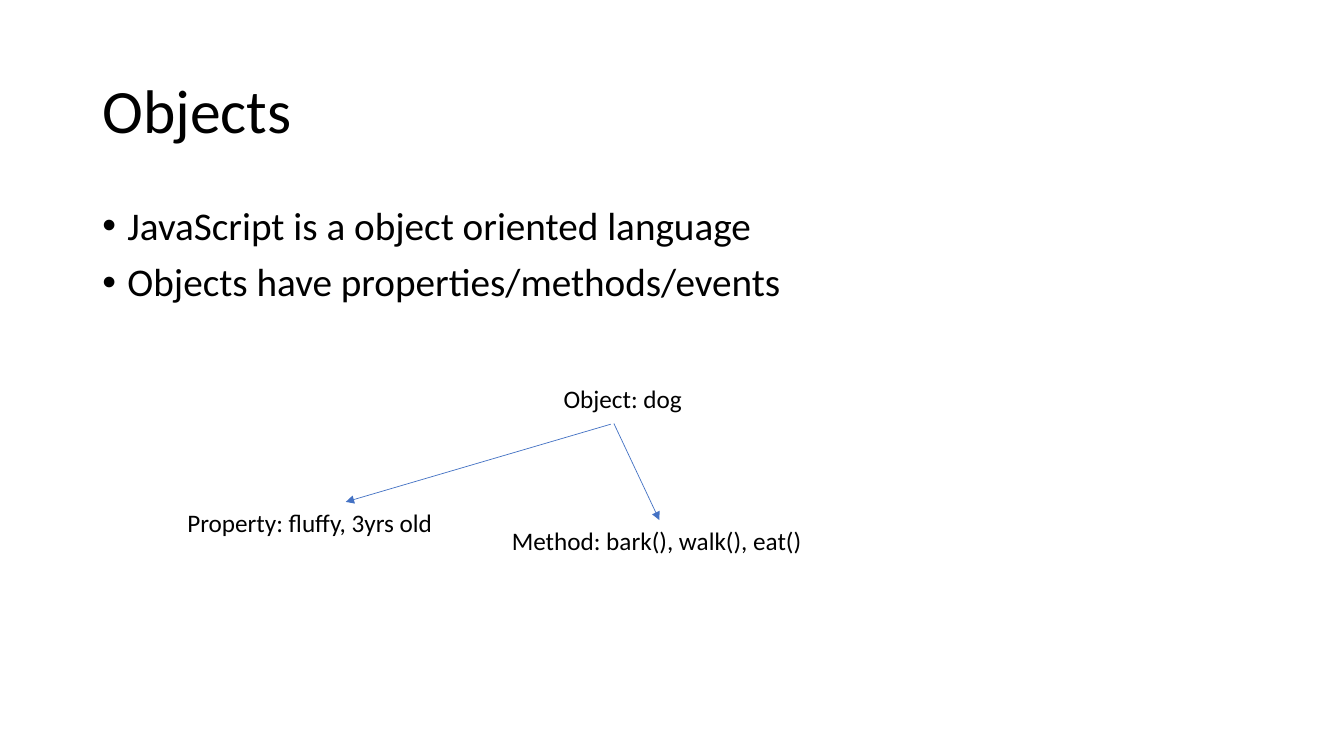
"""Build a slide on objects in JavaScript."""
import pptx
import pptx.util
import pptx.dml.color
import pptx.enum.shapes
import pptx.enum.text
import pptx.oxml
import pptx.oxml.ns

Pt = pptx.util.Pt
Anchor = pptx.enum.text.MSO_ANCHOR
COLORS = {"text": "000000", "arrow": "4472C4", "back": "FFFFFF"}


def color(name):
    """Return the named colour."""
    return pptx.dml.color.RGBColor.from_string(COLORS[name])


def node(tag, **attrs):
    """Return a drawing element with its attributes."""
    item = pptx.oxml.parse_xml(f"<a:{tag} {pptx.oxml.ns.nsdecls('a')}/>")
    for key, value in attrs.items():
        item.set(key, value)
    return item


class Page:
    """Hold the style and the current slide."""

    font = "Calibri"

    def __init__(self, deck):
        """Add a blank slide to the deck."""
        self.slide = deck.slides.add_slide(deck.slide_layouts[6])
        fill = self.slide.background.fill
        fill.solid()
        fill.fore_color.rgb = color("back")

    def text(self, box, lines, size, wrap=True, anchor=Anchor.TOP, space=None):
        """Add a text box and return its paragraphs."""
        frame = self.slide.shapes.add_textbox(*map(Pt, box)).text_frame
        frame.word_wrap = wrap
        frame.vertical_anchor = anchor
        for index, line in enumerate(lines):
            para = frame.add_paragraph() if index else frame.paragraphs[0]
            para.line_spacing = space
            run = para.add_run()
            run.text = line
            run.font.name = self.font
            run.font.size = Pt(size)
            run.font.color.rgb = color("text")
        return frame.paragraphs

    def title(self, box, line):
        """Add the slide title."""
        self.text(box, [line], 44, anchor=Anchor.MIDDLE, space=0.9)

    def bullets(self, box, lines):
        """Add a bulleted list."""
        for para in self.text(box, lines, 28, space=0.9):
            para.space_before = Pt(10)
            props = para._p.get_or_add_pPr()
            props.set("marL", str(Pt(18)))
            props.set("indent", str(-Pt(18)))
            props.append(node("buFont", typeface="Arial"))
            props.append(node("buChar", char="•"))

    def label(self, box, line):
        """Add a one-line label."""
        self.text(box, [line], 18, wrap=False)

    def arrow(self, start, end):
        """Add an arrow between two points."""
        kind = pptx.enum.shapes.MSO_CONNECTOR.STRAIGHT
        link = self.slide.shapes.add_connector(kind, *map(Pt, start + end))
        link.line.color.rgb = color("arrow")
        link.line.width = Pt(0.5)
        link.line._get_or_add_ln().append(node("tailEnd", type="triangle"))
        link._element.spPr.append(node("effectLst"))


deck = pptx.Presentation()
deck.slide_width, deck.slide_height = Pt(960), Pt(540)
page = Page(deck)
page.title((66, 28.8, 828, 104.4), "Objects")
page.bullets((66, 144, 828, 88.5), [
    "JavaScript is a object oriented language",
    "Objects have properties/methods/events",
])
page.label((395.5, 270, 100, 51), "Object: dog")
page.label((126.7, 358.5, 191.5, 29), "Property: fluffy, 3yrs old")
page.label((358.5, 371.5, 224, 29), "Method: bark(), walk(), eat()")
page.arrow((436.3, 303), (247, 358.5))
page.arrow((438.5, 302.5), (471, 371.5))
deck.save("out.pptx")
